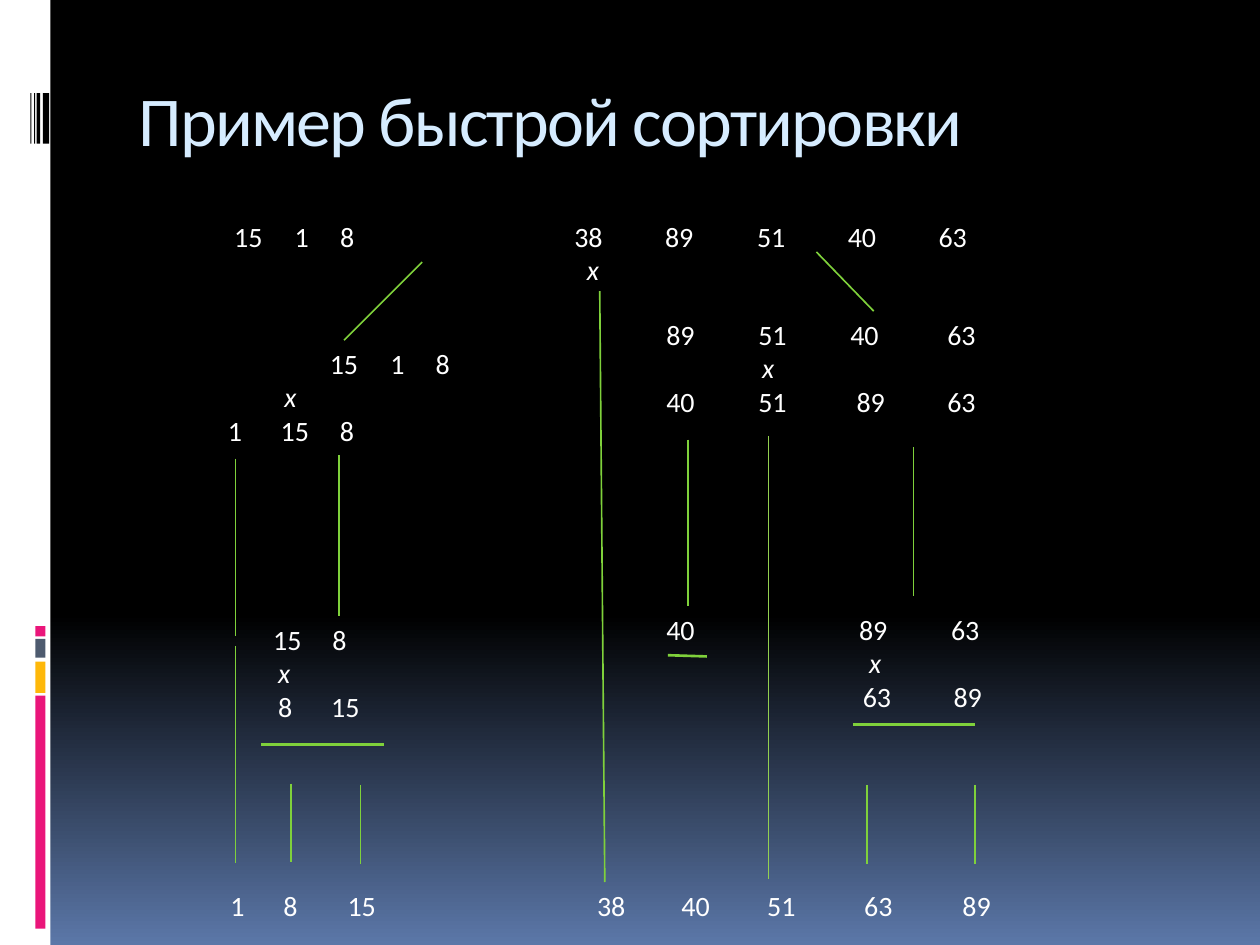
from copy import deepcopy

from lxml import etree
from pptx import Presentation
from pptx.dml.color import RGBColor
from pptx.enum import shapes, text
from pptx.oxml.ns import qn
from pptx.util import Inches, Pt

BLACK = RGBColor(0x00, 0x00, 0x00)
WHITE = RGBColor(0xFF, 0xFF, 0xFF)
BLUE = RGBColor(0x5B, 0x77, 0xA8)
PALE = RGBColor(0xD6, 0xEC, 0xFF)
PINK = RGBColor(0xEA, 0x15, 0x7A)
AMBER = RGBColor(0xFE, 0xB8, 0x0A)
SLATE = RGBColor(0x4E, 0x5B, 0x6F)
GREEN = RGBColor(0x7F, 0xD1, 0x3B)
LIME = RGBColor(0x92, 0xD0, 0x50)
FONT = "Calibri"
INSET = 0.1

SIDEBAR = [
    (0, 0, 0.4, 7.5, WHITE),
    (0.28, 5.52, 0.08, 1.85, PINK),
    (0.28, 5.25, 0.08, 0.25, AMBER),
    (0.28, 5.07, 0.08, 0.15, SLATE),
    (0.28, 4.97, 0.08, 0.08, PINK),
    (0.34, 0.74, 0.05, 0.4, BLACK),
    (0.29, 0.74, 0.03, 0.4, BLACK),
    (0.27, 0.74, 0.01, 0.4, BLACK),
    (0.24, 0.74, 0.01, 0.4, BLACK),
]

STEPS = {
    "source": ((1.76, 1.69, 6.12, 0.64), True, [
        [("15", 1.86), ("1", 2.34), ("8", 2.7), ("38", 4.56), ("89", 5.28),
         ("51", 6.01), ("40", 6.73), ("63", 7.45)],
        [("x", 4.66)]]),
    "left": ((0.46, 2.7, 3.83, 0.91), False, [
        [("15", 2.62), ("1", 3.1), ("8", 3.46)],
        [("x", 2.26)],
        [("1", 1.81), ("15", 2.23), ("8", 2.7)]]),
    "right": ((5.15, 2.47, 3.57, 0.91), True, [
        [("89", 5.29), ("51", 6.02), ("40", 6.75), ("63", 7.52)],
        [("x", 6.05)],
        [("40", 5.29), ("51", 6.02), ("89", 6.8), ("63", 7.52)]]),
    "left pair": ((0.62, 4.89, 4.14, 0.91), False, [
        [("15", 2.17), ("8", 2.64)],
        [("x", 2.21)],
        [("8", 2.21), ("15", 2.63)]]),
    "right pair": ((5.15, 4.81, 4.66, 0.91), False, [
        [("40", 5.29), ("89", 6.82), ("63", 7.55)],
        [("x", 6.9)],
        [("63", 6.85), ("89", 7.57)]]),
    "sorted": ((0.54, 7, 9.22, 0.37), False, [
        [("1", 1.83), ("8", 2.25), ("15", 2.76), ("38", 4.74), ("40", 5.41),
         ("51", 6.09), ("63", 6.86), ("89", 7.64)]]),
}

BRANCHES = [
    (4.76, 2.31, 4.8, 7),
    (3.35, 2.08, 2.73, 2.7),
    (1.87, 3.64, 1.87, 5.05),
    (1.87, 5.13, 1.87, 6.85),
    (2.31, 6.22, 2.31, 6.84),
    (5.46, 3.49, 5.46, 4.81),
    (7.25, 3.55, 7.25, 4.73),
]
RESULT_DROPS = [2.86, 6.88, 7.74]
UNDERLINES = [(2.07, 5.91, 3.05, 5.91), (5.3, 5.2, 5.61, 5.21), (6.77, 5.75, 7.74, 5.75)]


def set_background(s):
    """Fill the slide with black that fades to blue at the bottom."""
    fill = s.background.fill
    fill.gradient()
    fill.gradient_angle = 270
    stop_list = s.element.find(".//" + qn("a:gsLst"))
    stop_list.insert(1, deepcopy(stop_list[0]))
    for stop, position, color in zip(fill.gradient_stops, (0, 0.65, 1), (BLACK, BLACK, BLUE)):
        stop.position = position
        stop.color.rgb = color


def add_bar(s, x, y, w, h, color):
    """Add a plain filled rectangle."""
    sp = s.shapes.add_shape(shapes.MSO_SHAPE.RECTANGLE, *map(Inches, (x, y, w, h)))
    sp.shadow.inherit = False
    sp.fill.solid()
    sp.fill.fore_color.rgb = color
    sp.line.fill.background()


def add_run(p, content, size=16, color=WHITE, italic=False, spacing=None):
    """Add a formatted run to a paragraph."""
    r = p.add_run()
    r.text = content
    r.font.name = FONT
    r.font.size = Pt(size)
    r.font.color.rgb = color
    r.font.italic = italic
    if spacing is not None:
        r.font._element.set("spc", str(spacing))


def add_title(s, content):
    """Add the slide title."""
    tf = s.shapes.add_textbox(Inches(1), Inches(0.56), Inches(8.5), Inches(1)).text_frame
    tf.word_wrap = True
    add_run(tf.paragraphs[0], content, size=40, color=PALE, spacing=-100)


def add_tabs(p, positions):
    """Set left tab stops, in inches from the text edge."""
    tabs = etree.SubElement(p._p.get_or_add_pPr(), qn("a:tabLst"))
    for position in positions:
        etree.SubElement(tabs, qn("a:tab"), pos=str(Inches(position)), algn="l")


def add_step(s, box, outlined, rows):
    """Add one sorting step with its numbers aligned on tab stops."""
    place = map(Inches, box)
    if outlined:
        sp = s.shapes.add_shape(shapes.MSO_SHAPE.RECTANGLE, *place)
        sp.shadow.inherit = False
        sp.fill.background()
        sp.line.color.rgb = BLACK
        sp.line.width = Pt(0.75)
    else:
        sp = s.shapes.add_textbox(*place)
    tf = sp.text_frame
    tf.word_wrap = True
    tf.vertical_anchor = text.MSO_ANCHOR.TOP
    edge = box[0] + INSET
    for i, row in enumerate(rows):
        p = tf.paragraphs[0] if i == 0 else tf.add_paragraph()
        p.alignment = text.PP_ALIGN.LEFT
        offsets = [round(x - edge, 2) for _, x in row]
        add_tabs(p, [offset for offset in offsets if offset > 0])
        for (label, _), offset in zip(row, offsets):
            if offset > 0:
                add_run(p, "\t")
            add_run(p, label, italic=label == "x")
    return sp


def add_line(s, x1, y1, x2, y2, color=GREEN, width=0.94, target=None):
    """Add a straight line, joined to the top of the target if one is given."""
    line = s.shapes.add_connector(
        shapes.MSO_CONNECTOR.STRAIGHT, *map(Inches, (x1, y1, x2, y2)))
    line.line.color.rgb = color
    line.line.width = Pt(width)
    etree.SubElement(line._element.spPr, qn("a:effectLst"))
    if target is not None:
        line.end_connect(target, 0)


def main():
    """Build the quicksort example slide."""
    prs = Presentation()
    prs.slide_width, prs.slide_height = Inches(10), Inches(7.5)
    s = prs.slides.add_slide(prs.slide_layouts[6])
    set_background(s)
    for bar in SIDEBAR:
        add_bar(s, *bar)
    add_title(s, "Пример быстрой сортировки")
    steps = {name: add_step(s, *step) for name, step in STEPS.items()}
    for branch in BRANCHES:
        add_line(s, *branch)
    for x in RESULT_DROPS:
        add_line(s, x, 6.23, x, 6.86)
    for underline in UNDERLINES:
        add_line(s, *underline, width=1.5)
    add_line(s, 6.48, 2, 6.93, 2.47, target=steps["right"])
    add_line(s, 2.69, 3.61, 2.69, 4.89, target=steps["left pair"])
    add_line(s, 6.1, 3.46, 6.1, 6.98, color=LIME)
    prs.save("out.pptx")


if __name__ == "__main__":
    main()
